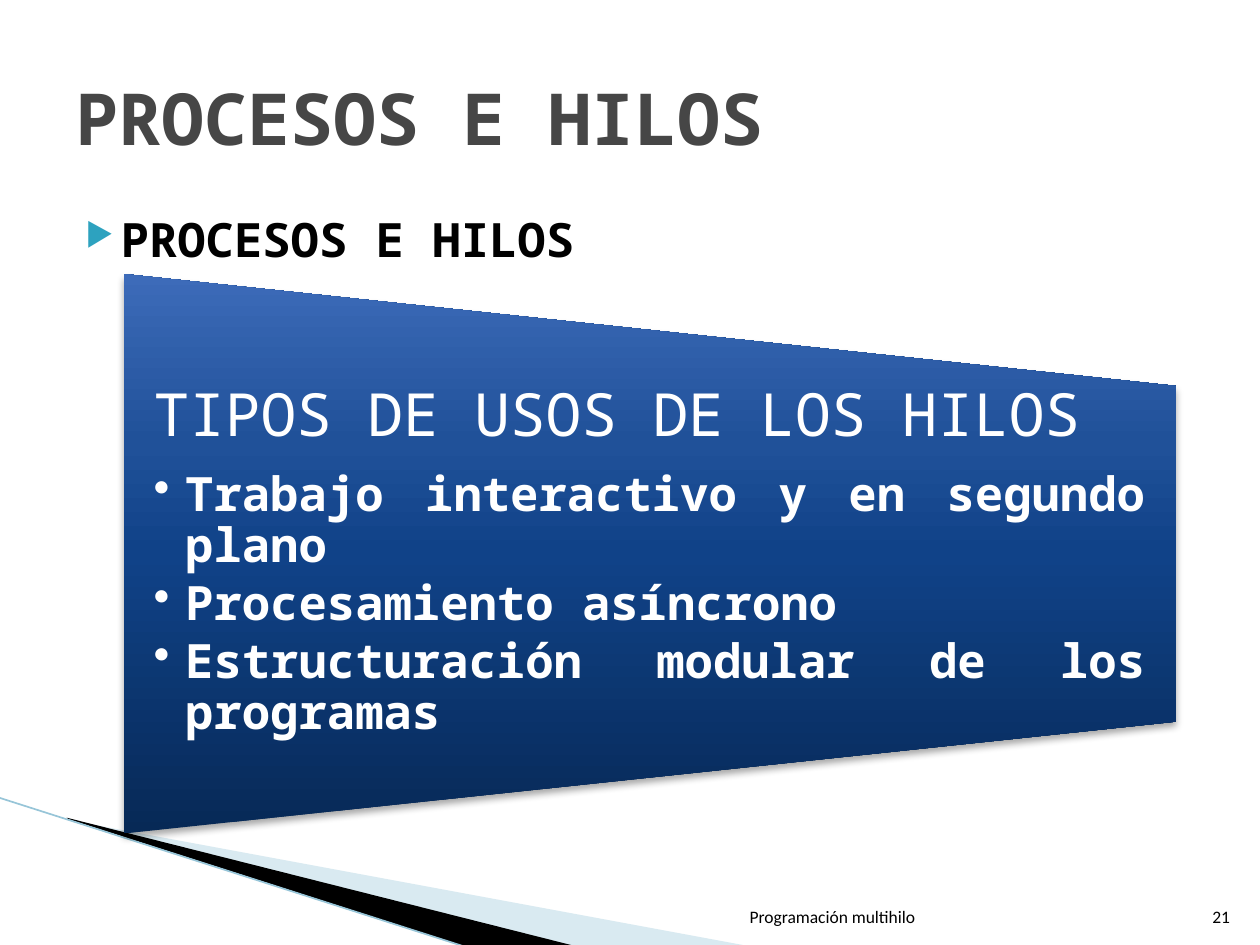
from dataclasses import dataclass

from lxml import etree
from pptx import Presentation
from pptx import util as u
from pptx.dml.color import RGBColor
from pptx.enum import shapes, text
from pptx.oxml import parse_xml
from pptx.oxml.ns import nsdecls, qn

PX = 9144  # EMU per px, 100 px to the inch


@dataclass(frozen=True)
class Theme:
    black: str = "000000"
    white: str = "FFFFFF"
    heading: str = "464646"
    accent: str = "2DA2BF"
    pale: str = "A0CBDC"
    edge: str = "97C5D8"
    panel: tuple[tuple[int, str], ...] = (
        (0, "072956"), (50, "104288"), (70, "205199"), (100, "3D6BB9"))
    mono: str = "Noto Sans Mono"
    sans: str = "Calibri"
    title_size: int = 41
    panel_size: int = 34
    body_size: int = 27
    footer_size: int = 10


THEME = Theme()


@dataclass(frozen=True)
class Box:
    left: int
    top: int
    width: int
    height: int

    def emu(self) -> tuple[int, int, int, int]:
        return self.left * PX, self.top * PX, self.width * PX, self.height * PX


@dataclass(frozen=True)
class Wedge:
    points: tuple[tuple[int, int], ...]
    color: str
    opacity: int = 100


@dataclass(frozen=True)
class Footer:
    words: str
    box: Box


WEDGES = (
    Wedge(((55, 651), (595, 751), (456, 751), (55, 650)), THEME.pale, 40),
    Wedge(((53, 649), (457, 751), (372, 752), (54, 650)), THEME.black),
)
FOOTERS = (
    Footer("Programación multihilo", Box(479, 701, 257, 40)),
    Footer("21", Box(946, 701, 40, 40)),
)
THREAD_USES = (
    "Trabajo interactivo y en segundo plano",
    "Procesamiento asíncrono",
    "Estructuración modular de los programas",
)


def add_wedge(slide, wedge: Wedge) -> None:
    builder = slide.shapes.build_freeform(*wedge.points[0], scale=PX)
    builder.add_line_segments(wedge.points[1:], close=True)
    shape = builder.convert_to_shape()
    shape.shadow.inherit = False
    shape.line.fill.background()
    shape.fill.solid()
    shape.fill.fore_color.rgb = RGBColor.from_string(wedge.color)
    if wedge.opacity < 100:
        color = shape._element.spPr.find(".//" + qn("a:srgbClr"))
        etree.SubElement(color, qn("a:alpha"), val=str(wedge.opacity * 1000))


def add_edge(slide, start: tuple[int, int], end: tuple[int, int]) -> None:
    line = slide.shapes.add_connector(
        shapes.MSO_CONNECTOR.STRAIGHT, *(value * PX for value in start + end))
    line.line.color.rgb = RGBColor.from_string(THEME.edge)
    line.line.width = u.Pt(0.95)
    etree.SubElement(line._element.spPr, qn("a:effectLst"))


def add_panel(slide, box: Box) -> None:
    """Trapezoid on its side, lit from above, with a soft shadow below."""
    shape = slide.shapes.add_shape(
        shapes.MSO_SHAPE.FLOWCHART_MANUAL_OPERATION, *box.emu())
    shape.rotation = 270
    shape.line.fill.background()
    stops = "".join(
        f'<a:gs pos="{position * 1000}"><a:srgbClr val="{color}"/></a:gs>'
        for position, color in THEME.panel)
    properties = shape._element.spPr
    properties.find(qn("a:prstGeom")).addnext(parse_xml(
        f'<a:gradFill {nsdecls("a")} rotWithShape="0"><a:gsLst>{stops}</a:gsLst>'
        '<a:lin ang="16200000" scaled="0"/></a:gradFill>'))
    properties.append(parse_xml(
        f'<a:effectLst {nsdecls("a")}><a:outerShdw blurRad="{u.Pt(4)}" '
        f'dist="{u.Pt(3)}" dir="5400000" rotWithShape="0">'
        f'<a:srgbClr val="{THEME.black}"><a:alpha val="35000"/></a:srgbClr>'
        '</a:outerShdw></a:effectLst>'))


def add_frame(slide, box: Box, anchor=text.MSO_ANCHOR.TOP):
    frame = slide.shapes.add_textbox(*box.emu()).text_frame
    frame.word_wrap = True
    frame.vertical_anchor = anchor
    return frame


def write(paragraph, words: str, *, size: int, color: str, font: str = THEME.mono,
          bold: bool = False, align=text.PP_ALIGN.LEFT, line_spacing: float = 1.0,
          before: int = 0, after: int = 0) -> None:
    paragraph.alignment = align
    paragraph.line_spacing = line_spacing
    paragraph.space_before = u.Pt(before)
    paragraph.space_after = u.Pt(after)
    run = paragraph.add_run()
    run.text = words
    run.font.name = font
    run.font.size = u.Pt(size)
    run.font.bold = bold
    run.font.color.rgb = RGBColor.from_string(color)


def add_bullet(paragraph, mark: str, *, margin: int, hanging: int,
               color: str, percent: int = 100) -> None:
    properties = paragraph._p.get_or_add_pPr()
    properties.set("marL", str(margin * PX))
    properties.set("indent", str(-hanging * PX))
    bullet_color = etree.SubElement(properties, qn("a:buClr"))
    etree.SubElement(bullet_color, qn("a:srgbClr"), val=color)
    etree.SubElement(properties, qn("a:buSzPct"), val=str(percent * 1000))
    etree.SubElement(properties, qn("a:buChar"), char=mark)


def add_thread_uses(slide, box: Box) -> None:
    frame = add_frame(slide, box)
    frame.margin_left = frame.margin_right = 24 * PX
    frame.margin_top = frame.margin_bottom = 0
    write(frame.paragraphs[0], "TIPOS DE USOS DE LOS HILOS", size=THEME.panel_size,
          color=THEME.white, line_spacing=0.9, after=12)
    for use in THREAD_USES:
        paragraph = frame.add_paragraph()
        write(paragraph, use, size=THEME.body_size, color=THEME.white, bold=True,
              align=text.PP_ALIGN.JUSTIFY, line_spacing=0.9, after=4)
        add_bullet(paragraph, "•", margin=25, hanging=25, color=THEME.white)


def main() -> None:
    presentation = Presentation()
    presentation.slide_width, presentation.slide_height = 1000 * PX, 750 * PX
    slide = presentation.slides.add_slide(presentation.slide_layouts[6])

    for wedge in WEDGES:
        add_wedge(slide, wedge)
    add_edge(slide, (-1, 633), (371, 752))

    body = add_frame(slide, Box(46, 162, 900, 495)).paragraphs[0]
    write(body, "PROCESOS E HILOS", size=THEME.body_size, color=THEME.black,
          bold=True, align=text.PP_ALIGN.JUSTIFY, before=4)
    add_bullet(body, "▶", margin=40, hanging=28, color=THEME.accent, percent=68)

    title = add_frame(slide, Box(50, 30, 900, 125), text.MSO_ANCHOR.MIDDLE)
    write(title.paragraphs[0], "PROCESOS E HILOS", size=THEME.title_size,
          color=THEME.heading, bold=True)

    for footer in FOOTERS:
        frame = add_frame(slide, footer.box, text.MSO_ANCHOR.BOTTOM)
        write(frame.paragraphs[0], footer.words, size=THEME.footer_size,
              color=THEME.black, font=THEME.sans, align=text.PP_ALIGN.RIGHT)

    add_panel(slide, Box(294, 22, 444, 835))
    add_thread_uses(slide, Box(98, 306, 835, 267))
    presentation.save("out.pptx")


if __name__ == "__main__":
    main()
